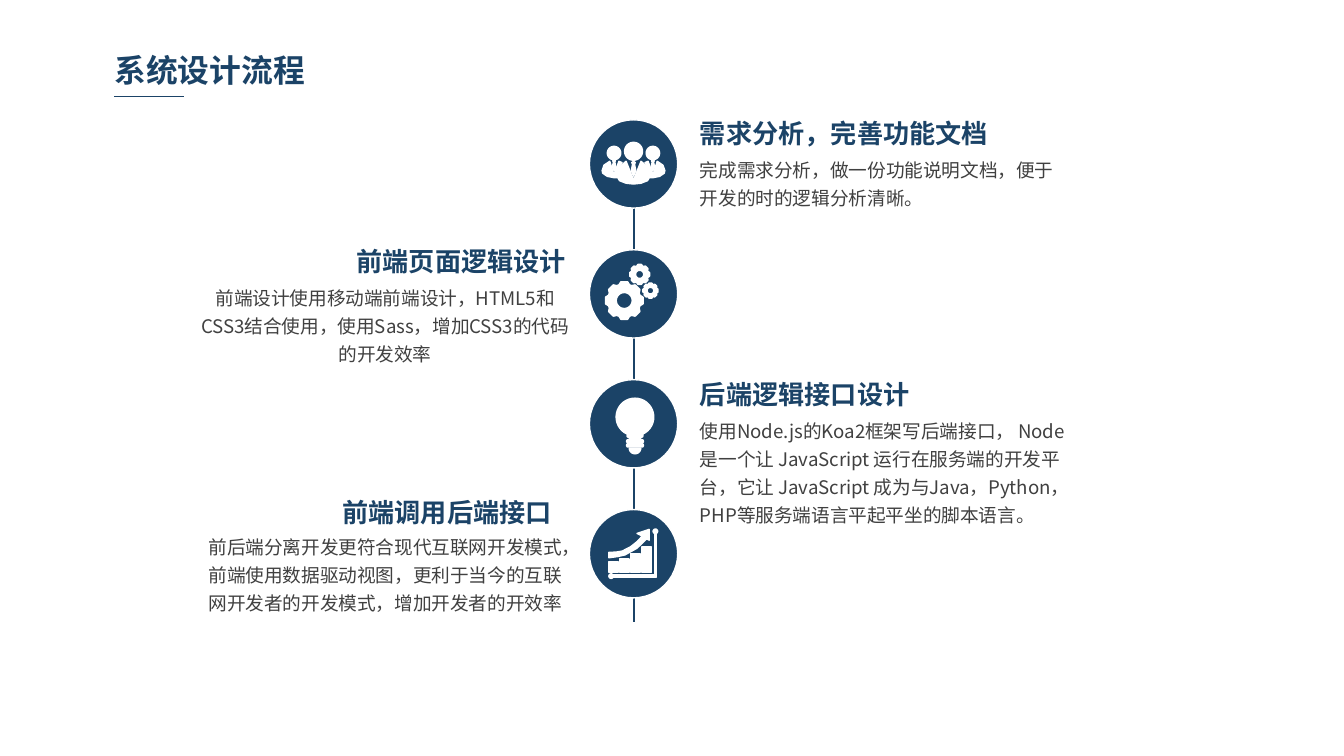
from math import cos, radians, sin

from lxml.etree import SubElement
from pptx import Presentation
from pptx.dml.color import RGBColor
from pptx.enum.shapes import MSO_CONNECTOR, MSO_SHAPE
from pptx.enum.text import MSO_ANCHOR, PP_ALIGN
from pptx.oxml.ns import qn
from pptx.util import Pt

FONT = "Noto Sans CJK SC"
COLORS = {name: RGBColor.from_string(value) for name, value in
          {"navy": "1B4367", "gray": "404040", "white": "FFFFFF"}.items()}
CENTER_X, FIRST_Y, STEP_Y, DIAMETER = 339.4, 87.84, 69.6, 47.3


def write(box, text, size, color, bold=False, align=PP_ALIGN.LEFT, spacing=Pt(15)):
    frame = box.text_frame
    frame.word_wrap = True
    frame.vertical_anchor = MSO_ANCHOR.TOP
    frame.text = text
    para = frame.paragraphs[0]
    para.alignment = align
    para.line_spacing = spacing
    for span in para.runs:
        span.font.name = FONT
        span.font.size = Pt(size)
        span.font.bold = bold
        span.font.color.rgb = COLORS[color]
        SubElement(span.font._element, qn("a:ea"), typeface=FONT)


def arc(x, y, radius, start=0, end=360):
    """Return points along a circle, angles in degrees clockwise from the right."""
    angles = [radians(start + (end - start) * i / 32) for i in range(33)]
    return [(x + radius * cos(a), y + radius * sin(a)) for a in angles]


deck = Presentation()
deck.slide_width, deck.slide_height = Pt(720), Pt(405)
page = deck.slides.add_slide(deck.slide_layouts[5])

# Title, its underline and the timeline
title = page.shapes.title
title.left, title.top, title.width, title.height = Pt(56.2), Pt(24.5), Pt(178), Pt(26)
title.text_frame.margin_left = title.text_frame.margin_right = Pt(5)
title.text_frame.margin_top = title.text_frame.margin_bottom = Pt(2.7)
write(title, "系统设计流程", 17, "navy", bold=True, spacing=1.0)

for ends in [(61.2, 51.8, 98.6, 51.8), (339.7, 69.1, 339.7, 333.4)]:
    line = page.shapes.add_connector(MSO_CONNECTOR.STRAIGHT, *map(Pt, ends))
    line.line.color.rgb = COLORS["navy"]
    line.line.width = Pt(0.75)
    SubElement(line._element.spPr, qn("a:effectLst"))

# Steps: heading, its left, top, width and alignment; text, its left, top, height and alignment
steps = [
    ("需求分析，完善功能文档", 367.9, 61.2, 170, PP_ALIGN.LEFT,
     "完成需求分析，做一份功能说明文档，便于开发的时的逻辑分析清晰。",
     367.9, 78.5, 36, PP_ALIGN.LEFT),
    ("前端页面逻辑设计", 176.4, 129.6, 134, PP_ALIGN.RIGHT,
     "前端设计使用移动端前端设计，HTML5和CSS3结合使用，使用Sass，增加CSS3的代码的开发效率",
     100.1, 146.9, 51, PP_ALIGN.CENTER),
    ("后端逻辑接口设计", 367.9, 200.9, 147.6, PP_ALIGN.LEFT,
     "使用Node.js的Koa2框架写后端接口， Node 是一个让 JavaScript 运行在服务端的开发平台，"
     "它让 JavaScript 成为与Java，Python，PHP等服务端语言平起平坐的脚本语言。",
     367.9, 218.2, 83, PP_ALIGN.LEFT),
    ("前端调用后端接口", 176.4, 264.2, 132.5, PP_ALIGN.LEFT,
     "前后端分离开发更符合现代互联网开发模式，前端使用数据驱动视图，"
     "更利于当今的互联网开发者的开发模式，增加开发者的开效率",
     100.1, 280.8, 51, PP_ALIGN.CENTER),
]
for heading, left, top, width, align, text, text_left, text_top, height, text_align in steps:
    box = page.shapes.add_textbox(Pt(left), Pt(top), Pt(width), Pt(22.3))
    write(box, heading, 14, "navy", bold=True, align=align)
    box = page.shapes.add_textbox(Pt(text_left), Pt(text_top), Pt(212.4), Pt(height))
    write(box, text, 10, "gray", align=text_align)

# Icons: each part is a list of outlines in points from the circle's centre
tie = [(0, -1.4), (1, -0.7), (0.5, 0), (1.2, 3.6), (0, 6.5), (-1.2, 3.6), (-0.5, 0), (-1, -0.7)]
body = [(9, 6.5), (8, 2), (4, -1.4), (0, 8.6), (-4, -1.4), (-8, 2), (-9, 6.5),
        (-7.5, 9), (-4, 10.4), (0, 10.8), (4, 10.4), (7.5, 9)]
side_body = [(16.8, 3.6), (15.8, 0.7), (12.7, -1.4), (10.5, 5.8), (7.8, -1.4), (6.2, -0.7),
             (7.7, 1.5), (8.9, 6.5), (9, 7.4), (10.5, 7.4), (14, 6.7), (16.5, 5)]
people = [[arc(0, -6.8, 4.8)], [body], [tie]]
for side in (-1, 1):
    people += [[arc(side * 10.4, -5.8, 3.6)],
               [[(side * x, y) for x, y in side_body]],
               [[(side * 10.4 + 0.75 * x, 0.75 * y - 1.1) for x, y in tie]]]

gears = []
for x, y, radius, hole in [(-4.95, 3.6, 10.1, 4.4), (3.3, -10.4, 5.3, 2.3), (9.1, -1.7, 4, 1.9)]:
    teeth = [(x + radius * reach * cos(radians(tooth + angle)),
              y + radius * reach * sin(radians(tooth + angle)))
             for tooth in range(0, 360, 45)
             for angle, reach in [(-10, 1), (10, 1), (18, 0.87), (27, 0.87)]]
    gears.append([teeth, arc(x, y, hole)])

glass = arc(0.8, -3.6, 10.1, 114, 426) + [(5.1, 5.8), (5, 6.9), (3.5, 7.9), (-1.9, 7.9), (-3.4, 6.9)]
bulb = [[glass], [arc(0.8, 13, 3.1, 0, 180)]]
bulb += [[[(-3.4, y), (5, y), (5.4, y + 0.8), (5, y + 1.6), (-3.4, y + 1.6), (-3.8, y + 0.8)]]
         for y in (8.6, 10.8)]

arrow = [(8.4, -13), (1.9, -10.8), (4.7, -9.4), (2, -6.5), (-1.5, -3.7), (-6, -1.4), (-9.5, -0.8),
         (-13.2, -0.7), (-13.2, 2.2), (-8.5, 1.6), (-4.6, 0.7), (1.9, -2.9), (7, -7.9), (8.4, -7.2)]
axes = [(11.2, -10.8), (12.2, -10.8), (12.2, 12.5), (-11.2, 12.5), (-11.2, 11.5), (11.2, 11.5)]
growth = [[arrow], [axes], [arc(11.7, -12, 1.2)], [arc(-12, 12, 1.2)]]
growth += [[[(x, y), (x + 5, y), (x + 5, 10.1), (x, 10.1)]]
           for x, y in [(-13.2, 4.3), (-7.4, 2.9), (-1.6, 0), (4.6, -3.6)]]

for index, (icon, weight) in enumerate([(people, 0.75), (gears, 1), (bulb, 0.75), (growth, 0.75)]):
    center_y = FIRST_Y + index * STEP_Y
    disc = page.shapes.add_shape(MSO_SHAPE.OVAL, Pt(CENTER_X - DIAMETER / 2),
                                 Pt(center_y - DIAMETER / 2), Pt(DIAMETER), Pt(DIAMETER))
    painted = [(disc, "navy", 0.75)]
    for part in icon:
        outlines = [[(Pt(CENTER_X + x), Pt(center_y + y)) for x, y in outline] for outline in part]
        builder = page.shapes.build_freeform(*outlines[0][0])
        builder.add_line_segments(outlines[0][1:])
        for outline in outlines[1:]:
            builder.move_to(*outline[0])
            builder.add_line_segments(outline[1:])
        painted.append((builder.convert_to_shape(), "white", weight))
    for shape, color, line_width in painted:
        shape.shadow.inherit = False
        shape.fill.solid()
        shape.fill.fore_color.rgb = COLORS[color]
        shape.line.color.rgb = COLORS["white"]
        shape.line.width = Pt(line_width)

deck.save("out.pptx")
